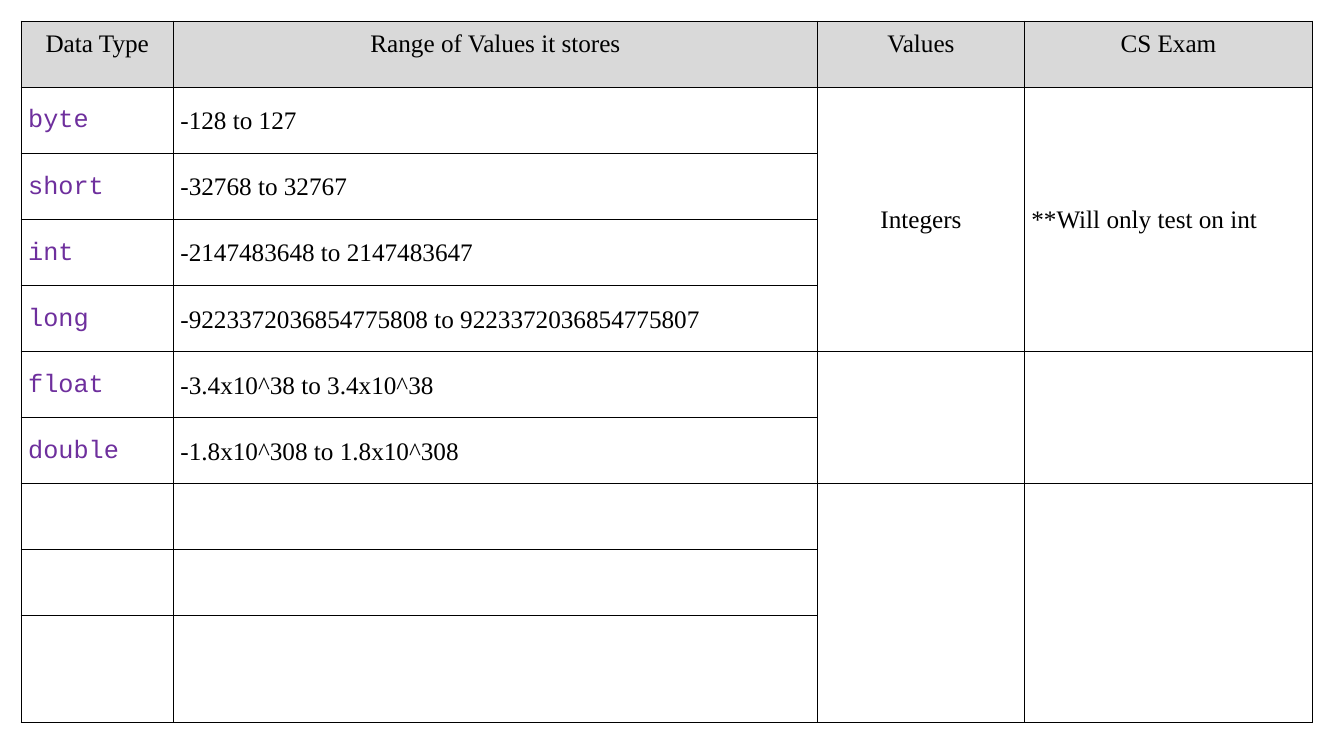
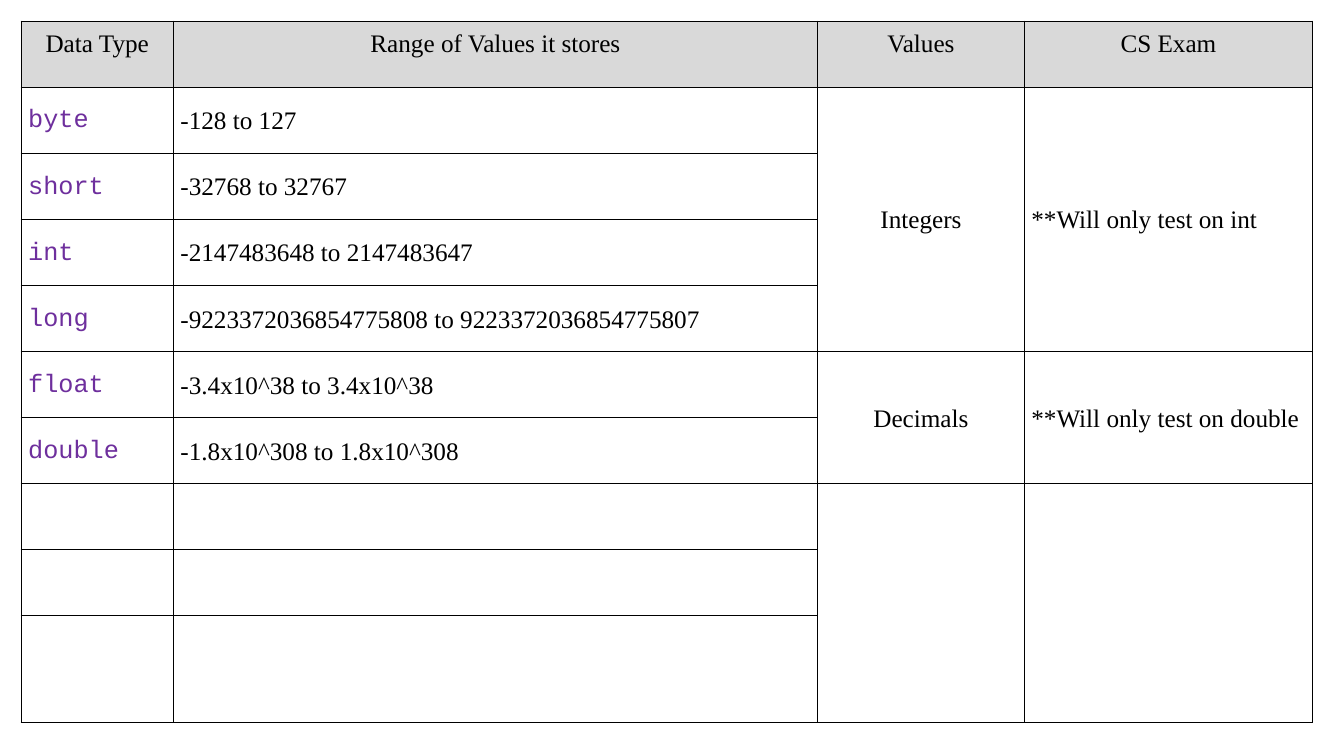
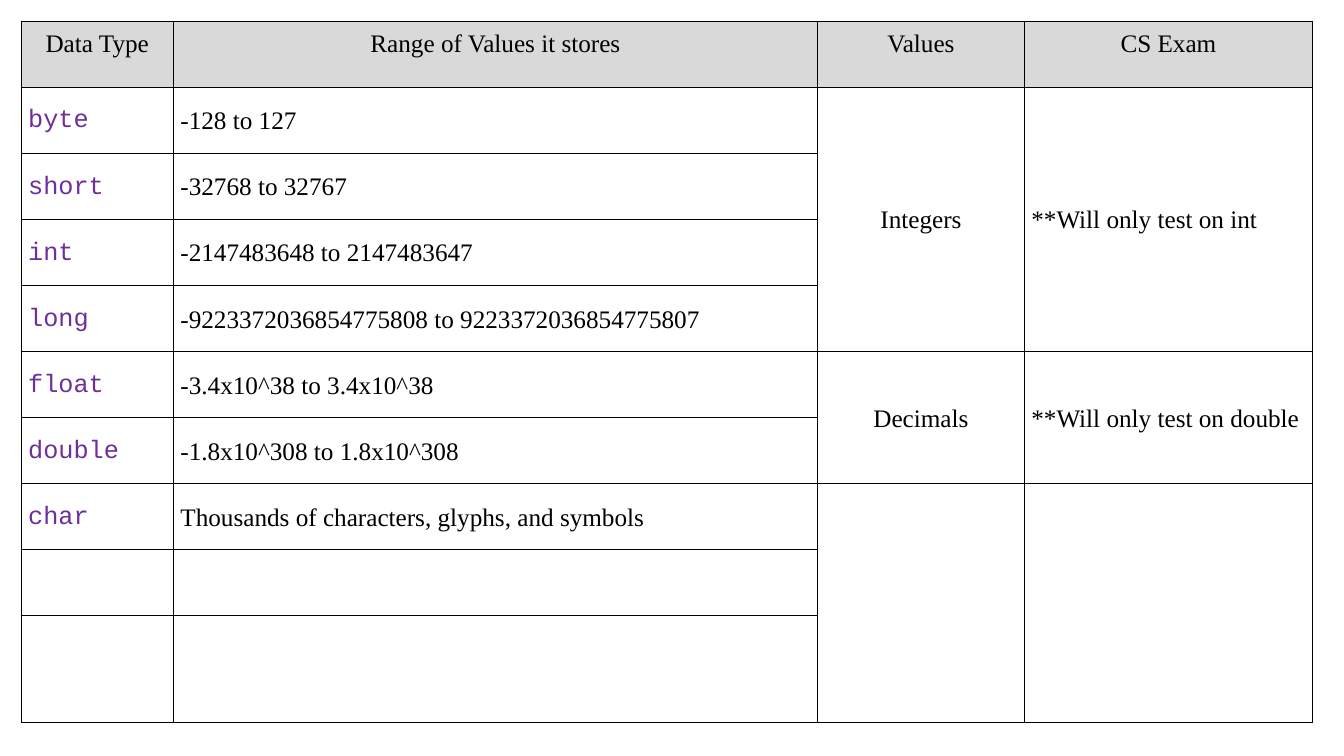
from dataclasses import dataclass

from lxml.etree import SubElement
from pptx import Presentation
from pptx.dml.color import RGBColor
from pptx.enum.text import MSO_ANCHOR as Anchor, PP_ALIGN as Align
from pptx.oxml.ns import qn
from pptx.util import Inches, Pt

HEADINGS = ("Data Type", "Range of Values it stores", "Values", "CS Exam")
DATA_TYPES = (
    ("byte", "-128 to 127"),
    ("short", "-32768 to 32767"),
    ("int", "-2147483648 to 2147483647"),
    ("long", "-9223372036854775808 to 9223372036854775807"),
    ("float", "-3.4x10^38 to 3.4x10^38"),
    ("double", "-1.8x10^308 to 1.8x10^308"),
    ("char", "Thousands of characters, glyphs, and symbols"),
)
# Rows covered, kind of values, exam note
GROUPS = (
    (4, "Integers", "**Will only test on int"),
    (2, "Decimals", "**Will only test on double"),
    (3, "", ""),
)
# Data types and groups revealed on each slide
REVEALS = ((6, 1), (6, 2), (7, 2))

SLIDE_SIZE = (13.33, 7.5)
MARGIN = 0.21
COLUMN_WIDTHS = (1.51, 6.39, 2.05, 2.86)
TABLE_HEIGHT = 6.96
LAST_ROW_HEIGHT = 1.06
EQUAL_ROWS = 9
ROW_HEIGHTS = (((TABLE_HEIGHT - LAST_ROW_HEIGHT) / EQUAL_ROWS,) * EQUAL_ROWS
               + (LAST_ROW_HEIGHT,))


@dataclass(frozen=True)
class Theme:
    ink: str = "000000"
    keyword: str = "6E2F9D"
    header: str = "D9D9D9"
    body_font: str = "Times New Roman"
    code_font: str = "Courier New"
    size: int = 18
    line_spacing: float = 1.07
    inset: float = 0.07
    border: float = 1


THEME = Theme()


def write(cell, text, font=THEME.body_font, color=THEME.ink,
          align=Align.LEFT, anchor=Anchor.MIDDLE):
    if not text:
        return
    cell.vertical_anchor = anchor
    paragraph = cell.text_frame.paragraphs[0]
    paragraph.alignment = align
    paragraph.line_spacing = THEME.line_spacing
    run = paragraph.add_run()
    run.text = text
    run.font.name = font
    run.font.size = Pt(THEME.size)
    run.font.color.rgb = RGBColor.from_string(color)


def style_cell(cell, fill=None):
    """Set the insets, the four borders and the fill of a cell."""
    cell.margin_left = cell.margin_right = Inches(THEME.inset)
    cell.margin_top = cell.margin_bottom = Inches(THEME.inset)
    properties = cell._tc.get_or_add_tcPr()
    for side in ("a:lnL", "a:lnR", "a:lnT", "a:lnB"):
        line = SubElement(properties, qn(side), w=str(Pt(THEME.border)))
        solid = SubElement(line, qn("a:solidFill"))
        SubElement(solid, qn("a:srgbClr"), val=THEME.ink)
    if fill:
        cell.fill.solid()
        cell.fill.fore_color.rgb = RGBColor.from_string(fill)
    else:
        cell.fill.background()


def add_grid(slide):
    """Add the empty, bordered table with its header row."""
    frame = slide.shapes.add_table(
        len(ROW_HEIGHTS), len(COLUMN_WIDTHS), Inches(MARGIN), Inches(MARGIN),
        Inches(sum(COLUMN_WIDTHS)), Inches(TABLE_HEIGHT))
    table = frame.table
    table.first_row = table.horz_banding = False
    for column, width in zip(table.columns, COLUMN_WIDTHS):
        column.width = Inches(width)
    for index, (row, height) in enumerate(zip(table.rows, ROW_HEIGHTS)):
        row.height = Inches(height)
        for cell in row.cells:
            style_cell(cell, THEME.header if index == 0 else None)
    for column, heading in enumerate(HEADINGS):
        write(table.cell(0, column), heading,
              align=Align.CENTER, anchor=Anchor.TOP)
    return table


def add_type_slide(presentation, types_shown, groups_shown):
    slide = presentation.slides.add_slide(presentation.slide_layouts[6])
    table = add_grid(slide)
    for row, (keyword, value_range) in enumerate(DATA_TYPES[:types_shown], 1):
        write(table.cell(row, 0), keyword,
              font=THEME.code_font, color=THEME.keyword)
        write(table.cell(row, 1), value_range)
    first_row = 1
    for index, (span, kind, note) in enumerate(GROUPS):
        for column, text, align in ((2, kind, Align.CENTER),
                                    (3, note, Align.LEFT)):
            cell = table.cell(first_row, column)
            cell.merge(table.cell(first_row + span - 1, column))
            if index < groups_shown:
                write(cell, text, align=align)
        first_row += span


def main():
    presentation = Presentation()
    presentation.slide_width, presentation.slide_height = map(
        Inches, SLIDE_SIZE)
    for types_shown, groups_shown in REVEALS:
        add_type_slide(presentation, types_shown, groups_shown)
    presentation.save("out.pptx")


if __name__ == "__main__":
    main()
